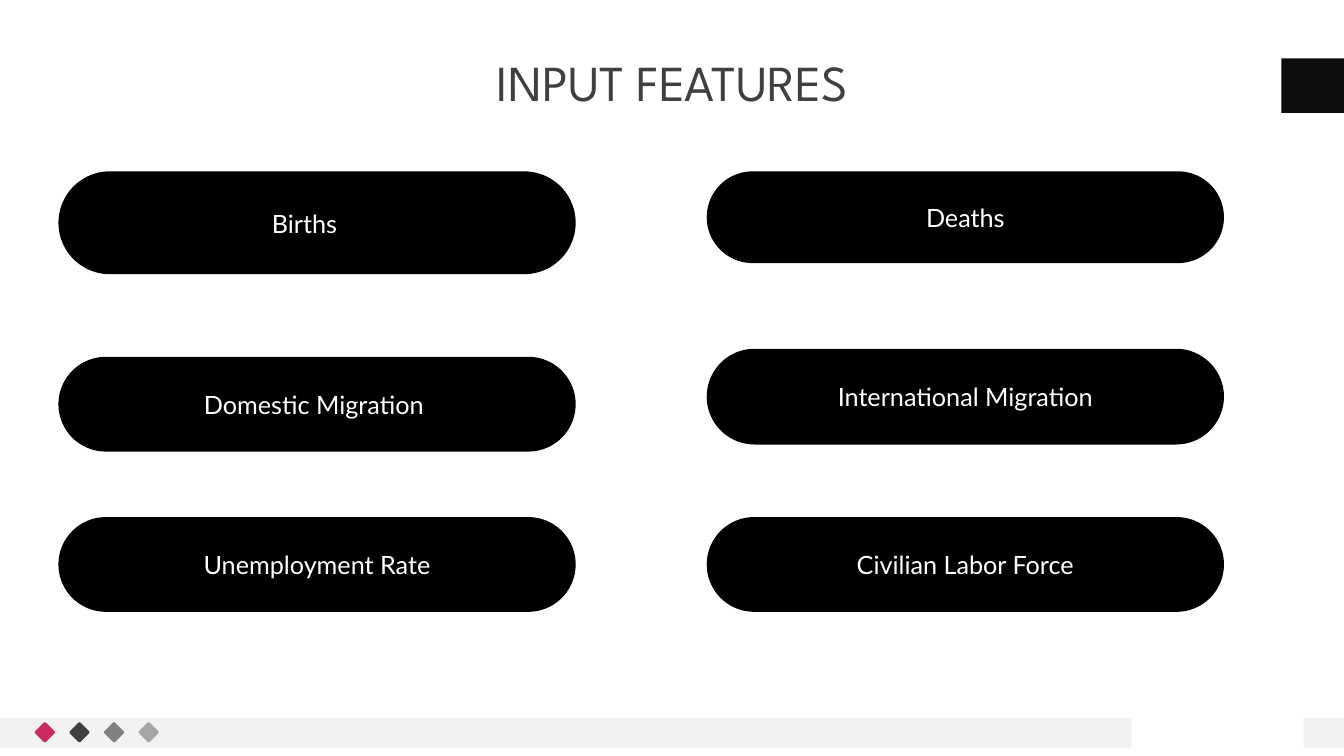
"""Build the Input Features slide."""
from pptx import Presentation
from pptx.dml.color import RGBColor
from pptx.enum.shapes import MSO_SHAPE
from pptx.enum.text import MSO_ANCHOR, PP_ALIGN
from pptx.util import Inches, Pt

BLACK = RGBColor(0x00, 0x00, 0x00)
WHITE = RGBColor(0xFF, 0xFF, 0xFF)
CHARCOAL = RGBColor(0x40, 0x40, 0x40)
TAB_BLACK = RGBColor(0x0D, 0x0D, 0x0D)
PALE = RGBColor(0xF2, 0xF2, 0xF2)
CRIMSON = RGBColor(0xCE, 0x29, 0x5E)
GREY = RGBColor(0x80, 0x80, 0x80)
SILVER = RGBColor(0xA6, 0xA6, 0xA6)

TITLE = "INPUT FEATURES"
TITLE_AREA = (0.92, 0.58, 11.5, 0.55)
BIRTHS = "Births"
BIRTHS_AREA = (0.84, 2.07, 4.36, 0.3)
COLUMN_LEFTS = (0.58, 7.01)
PILL_WIDTH = 5.13
FEATURE_ROWS = [
    [("", 1.7, 1.02), ("Deaths", 1.7, 0.91)],
    [("Domestic Migration ", 3.54, 0.94), ("International Migration", 3.46, 0.95)],
    [("Unemployment Rate", 5.13, 0.94), ("Civilian Labor Force", 5.13, 0.94)],
]
BANDS = [
    ((0, 7.12, 11.22, 0.3), PALE),
    ((12.71, 0.58, 0.62, 0.54), TAB_BLACK),
    ((12.93, 7.12, 0.4, 0.3), PALE),
]
DIAMOND_COLORS = (CRIMSON, CHARCOAL, GREY, SILVER)
DIAMOND_LEFT, DIAMOND_TOP, DIAMOND_SIZE, DIAMOND_STEP = 0.37, 7.19, 0.15, 0.343


def add_block(slide, area, color, preset=MSO_SHAPE.RECTANGLE, rounding=None):
    block = slide.shapes.add_shape(preset, *map(Inches, area))
    block.shadow.inherit = False
    block.fill.solid()
    block.fill.fore_color.rgb = color
    block.line.fill.background()
    if rounding is not None:
        block.adjustments[0] = rounding
    return block


def write(frame, text, *, size=18, font="Lato", color=WHITE,
          anchor=MSO_ANCHOR.MIDDLE, spacing=1.0, inset=None):
    frame.word_wrap = True
    frame.vertical_anchor = anchor
    if inset is not None:
        frame.margin_left = frame.margin_right = Inches(inset)
        frame.margin_top = frame.margin_bottom = Inches(inset)
    paragraph = frame.paragraphs[0]
    paragraph.alignment = PP_ALIGN.CENTER
    paragraph.line_spacing = spacing
    run = paragraph.add_run()
    run.text = text
    run.font.size = Pt(size)
    run.font.name = font
    run.font.color.rgb = color


def main():
    deck = Presentation()
    deck.slide_width, deck.slide_height = Inches(13.33), Inches(7.5)
    slide = deck.slides.add_slide(deck.slide_layouts[6])

    for area, color in BANDS:
        add_block(slide, area, color)
    for index, color in enumerate(DIAMOND_COLORS):
        left = DIAMOND_LEFT + index * DIAMOND_STEP
        diamond = add_block(slide, (left, DIAMOND_TOP, DIAMOND_SIZE, DIAMOND_SIZE),
                            color, MSO_SHAPE.ROUNDED_RECTANGLE, 0.11)
        diamond.rotation = 45

    for features in FEATURE_ROWS:
        for left, (label, top, height) in zip(COLUMN_LEFTS, features):
            pill = add_block(slide, (left, top, PILL_WIDTH, height), BLACK,
                             MSO_SHAPE.ROUNDED_RECTANGLE, 0.5)
            if label:
                write(pill.text_frame, label)

    births = slide.shapes.add_textbox(*map(Inches, BIRTHS_AREA))
    write(births.text_frame, BIRTHS, inset=0)
    title = slide.shapes.add_textbox(*map(Inches, TITLE_AREA))
    write(title.text_frame, TITLE, size=36, font="League Spartan", color=CHARCOAL,
          anchor=MSO_ANCHOR.TOP, spacing=0.9, inset=0)

    deck.save("out.pptx")


if __name__ == "__main__":
    main()
